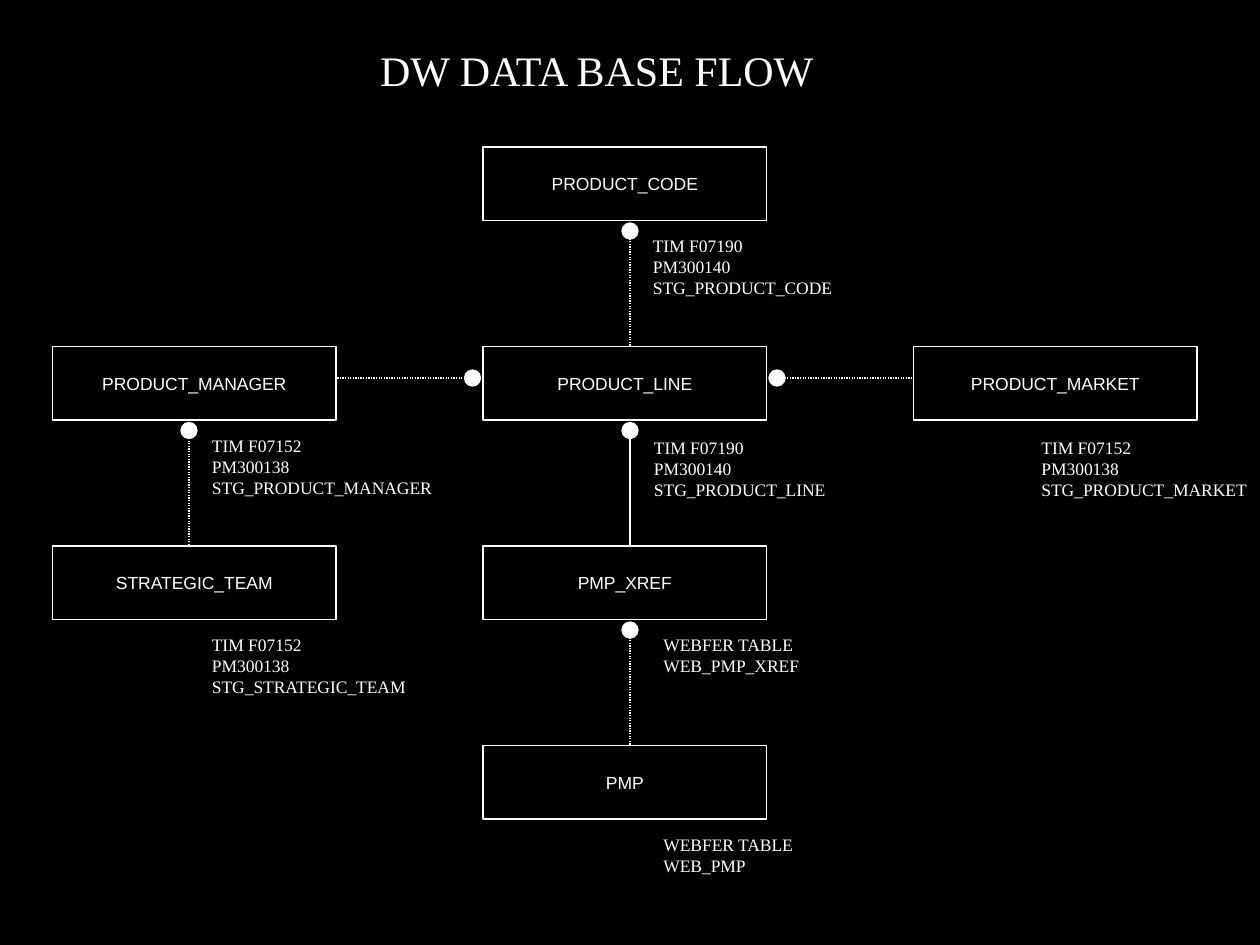
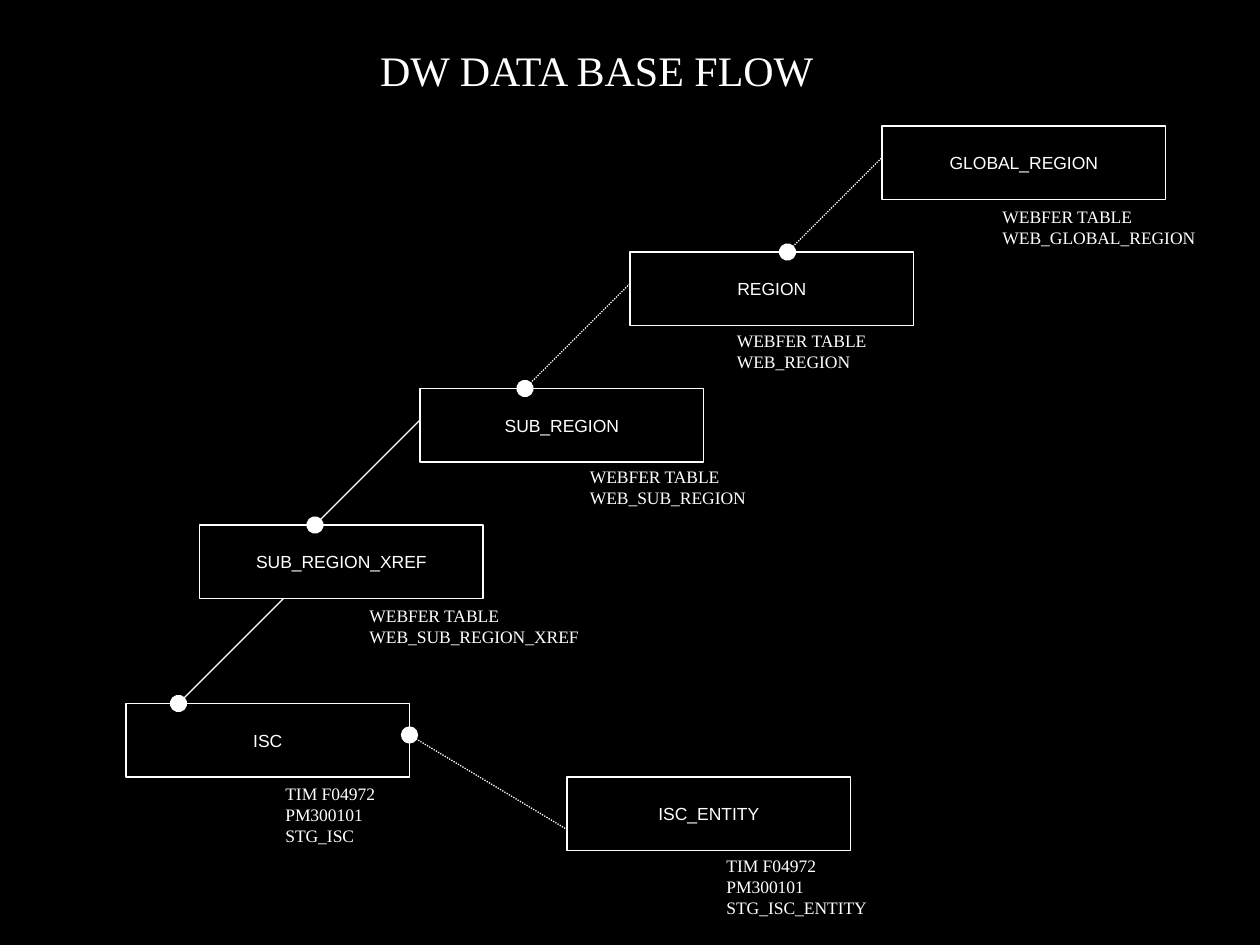
from lxml.etree import SubElement
from pptx import Presentation
from pptx.dml.color import RGBColor
from pptx.enum.dml import MSO_LINE
from pptx.enum.shapes import MSO_CONNECTOR, MSO_SHAPE
from pptx.enum.text import MSO_ANCHOR, MSO_AUTO_SIZE, PP_ALIGN
from pptx.oxml.ns import qn
from pptx.util import Pt

BLACK = RGBColor(0, 0, 0)
WHITE = RGBColor(255, 255, 255)
SANS, SERIF = "Arial", "Times New Roman"
PX = 914400 // 120
WIDE, HIGH = 1200, 900
BOX_W, BOX_H = 270, 70
TITLE = "DW DATA BASE FLOW"
TITLE_AT = 350, 36, 452, 61

CODE = "TIM F07190", "PM300140", "STG_"
TEAM = "TIM F07152", "PM300138", "STG_"
ISC = "TIM F04972", "PM300101", "STG_"
WEB = "WEBFER TABLE", "WEB_"

# name, box left and top, source, note left, top and width
PRODUCT = [
    ("PRODUCT_CODE", 460, 140, CODE, 610, 218, 197),
    ("PRODUCT_LINE", 460, 330, CODE, 611, 410, 190),
    ("PMP_XREF", 460, 520, WEB, 620, 598, 155),
    ("PMP", 460, 710, WEB, 620, 788, 151),
    ("PRODUCT_MANAGER", 50, 330, TEAM, 190, 408, 236),
    ("PRODUCT_MARKET", 870, 330, TEAM, 980, 410, 222),
    ("STRATEGIC_TEAM", 50, 520, TEAM, 190, 598, 214),
]
REGION = [
    ("GLOBAL_REGION", 840, 120, WEB, 943, 190, 211),
    ("REGION", 600, 240, WEB, 690, 308, 151),
    ("SUB_REGION", 400, 370, WEB, 550, 438, 175),
    ("SUB_REGION_XREF", 190, 500, WEB, 340, 570, 227),
    ("ISC", 120, 670, ISC, 260, 740, 110),
    ("ISC_ENTITY", 540, 740, ISC, 680, 808, 160),
]

DOT, SOLID = MSO_LINE.ROUND_DOT, None
PRODUCT_LINKS = [
    (600, 220, 600, 330, DOT),
    (600, 410, 600, 520, SOLID),
    (600, 600, 600, 710, DOT),
    (450, 360, 320, 360, DOT),
    (740, 360, 870, 360, DOT),
    (180, 410, 180, 520, DOT),
]
REGION_LINKS = [
    (750, 240, 840, 150, DOT),
    (500, 370, 600, 270, DOT),
    (300, 500, 400, 400, SOLID),
    (170, 670, 270, 570, SOLID),
    (390, 700, 540, 790, DOT),
]
FLOWS = [(PRODUCT, PRODUCT_LINKS), (REGION, REGION_LINKS)]


def emu(*nums):
    return [n * PX for n in nums]


def write(shape, rows, size, face, align, anchor, fit):
    frame = shape.text_frame
    frame.text = "\n".join(rows)
    frame.word_wrap = False
    frame.auto_size = fit
    frame.vertical_anchor = anchor
    for para in frame.paragraphs:
        para.alignment = align
        para.font.size = Pt(size)
        para.font.name = face
        para.font.color.rgb = WHITE


def label(shape, rows, size):
    write(shape, rows, size, SERIF, PP_ALIGN.LEFT, MSO_ANCHOR.TOP,
          MSO_AUTO_SIZE.SHAPE_TO_FIT_TEXT)


def stroke(line):
    line.color.rgb = WHITE
    line.width = Pt(0.75)


def add_title(slide):
    title = slide.shapes.title
    title.left, title.top, title.width, title.height = emu(*TITLE_AT)
    label(title, [TITLE], 24)


def add_box(slide, name, x, y):
    box = slide.shapes.add_shape(MSO_SHAPE.RECTANGLE, *emu(x, y, BOX_W, BOX_H))
    box.shadow.inherit = False
    box.fill.background()
    stroke(box.line)
    write(box, [name], 10, SANS, PP_ALIGN.CENTER, MSO_ANCHOR.MIDDLE,
          MSO_AUTO_SIZE.NONE)


def add_note(slide, name, source, x, y, width):
    rows = [*source[:-1], source[-1] + name]
    height = 13 + 20 * len(rows)
    label(slide.shapes.add_textbox(*emu(x, y, width, height)), rows, 10)


def add_link(slide, x1, y1, x2, y2, dash):
    link = slide.shapes.add_connector(MSO_CONNECTOR.STRAIGHT, *emu(x1, y1, x2, y2))
    stroke(link.line)
    if dash:
        link.line.dash_style = dash
    SubElement(link.line._get_or_add_ln(), qn("a:headEnd"),
               type="oval", w="lg", len="lg")
    SubElement(link._element.spPr, qn("a:effectLst"))


def main():
    deck = Presentation()
    deck.slide_width, deck.slide_height = emu(WIDE, HIGH)
    back = deck.slide_master.background.fill
    back.solid()
    back.fore_color.rgb = BLACK
    for tables, links in FLOWS:
        slide = deck.slides.add_slide(deck.slide_layouts[5])
        add_title(slide)
        for name, x, y, source, *place in tables:
            add_box(slide, name, x, y)
            add_note(slide, name, source, *place)
        for link in links:
            add_link(slide, *link)
    deck.save("out.pptx")


if __name__ == "__main__":
    main()
